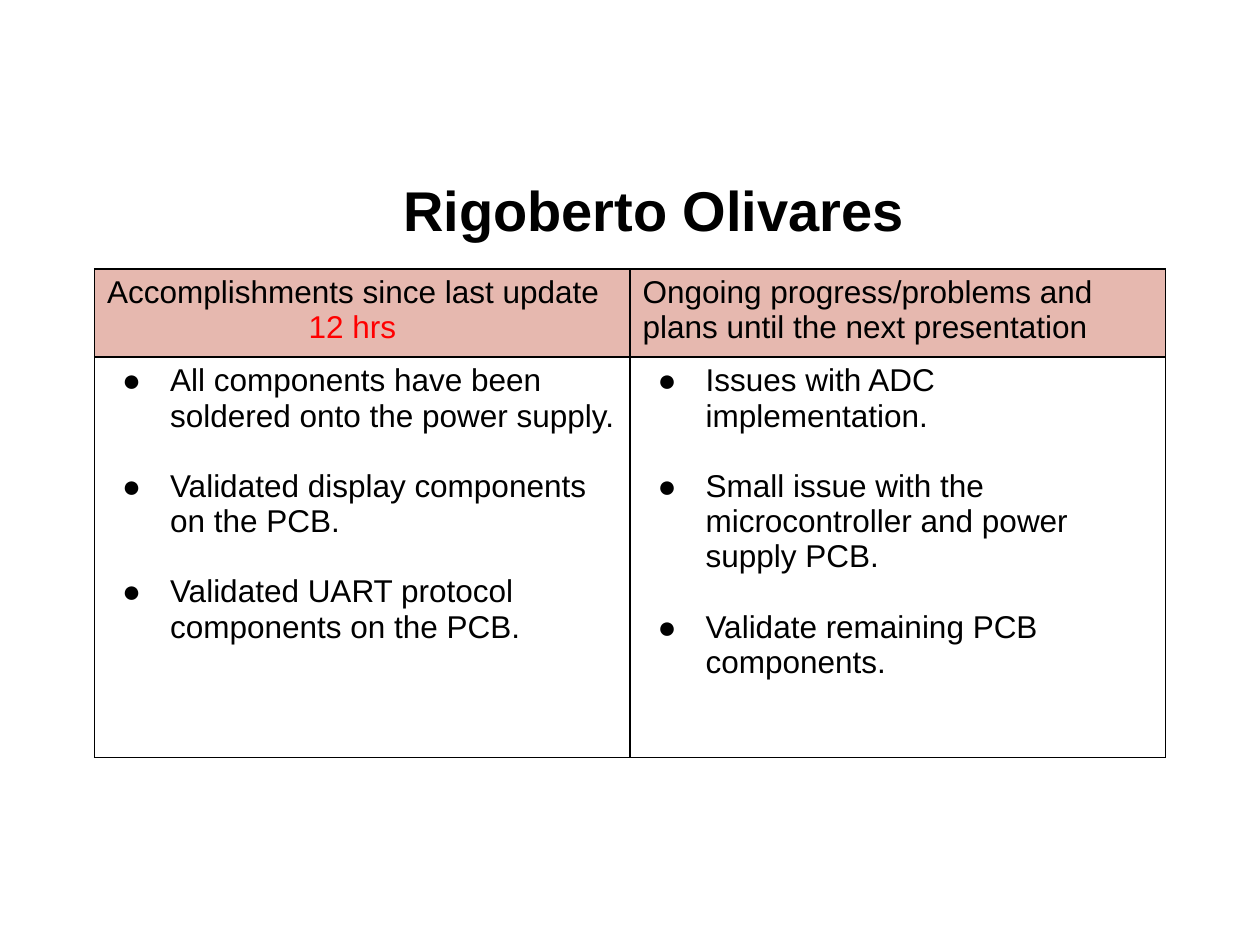
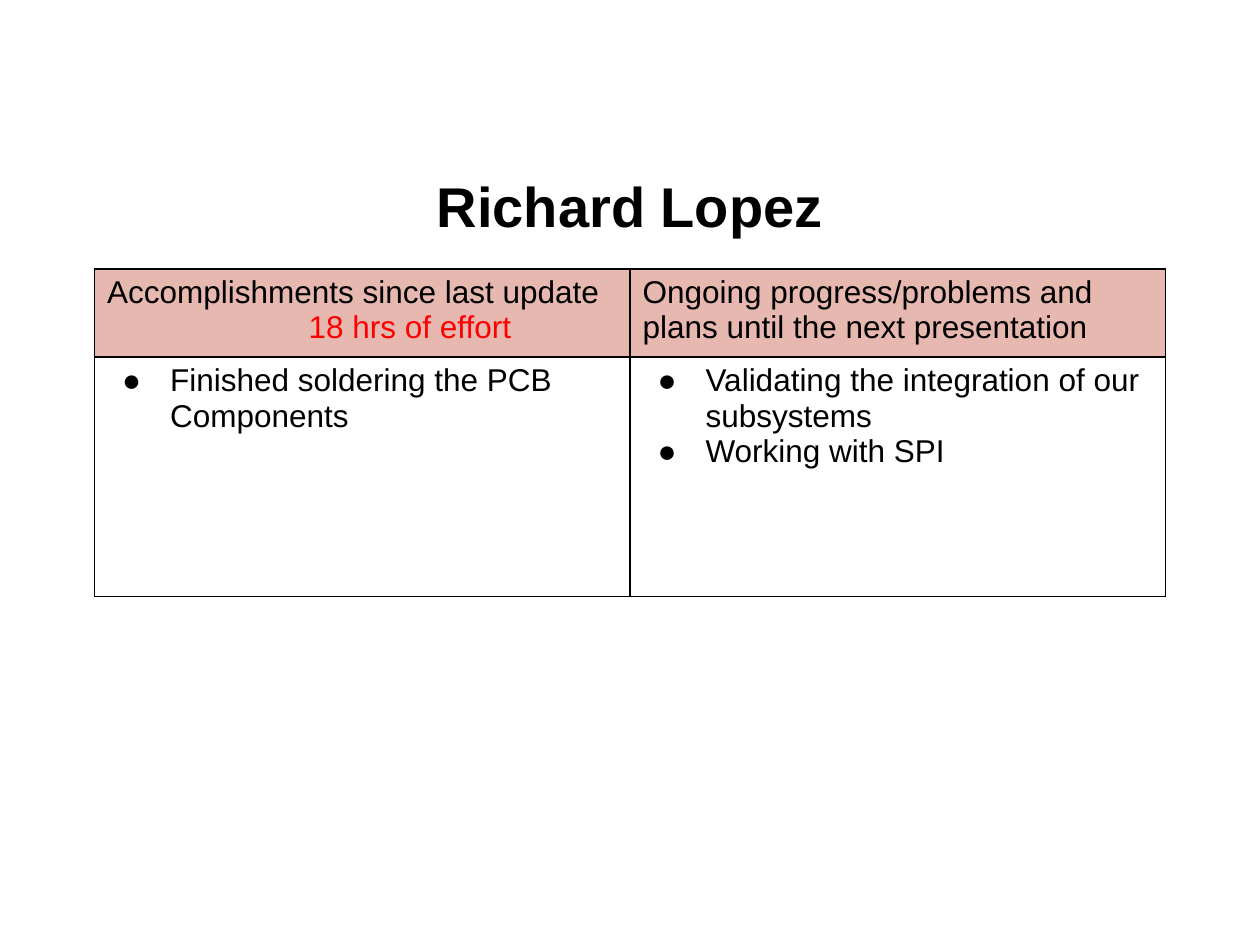
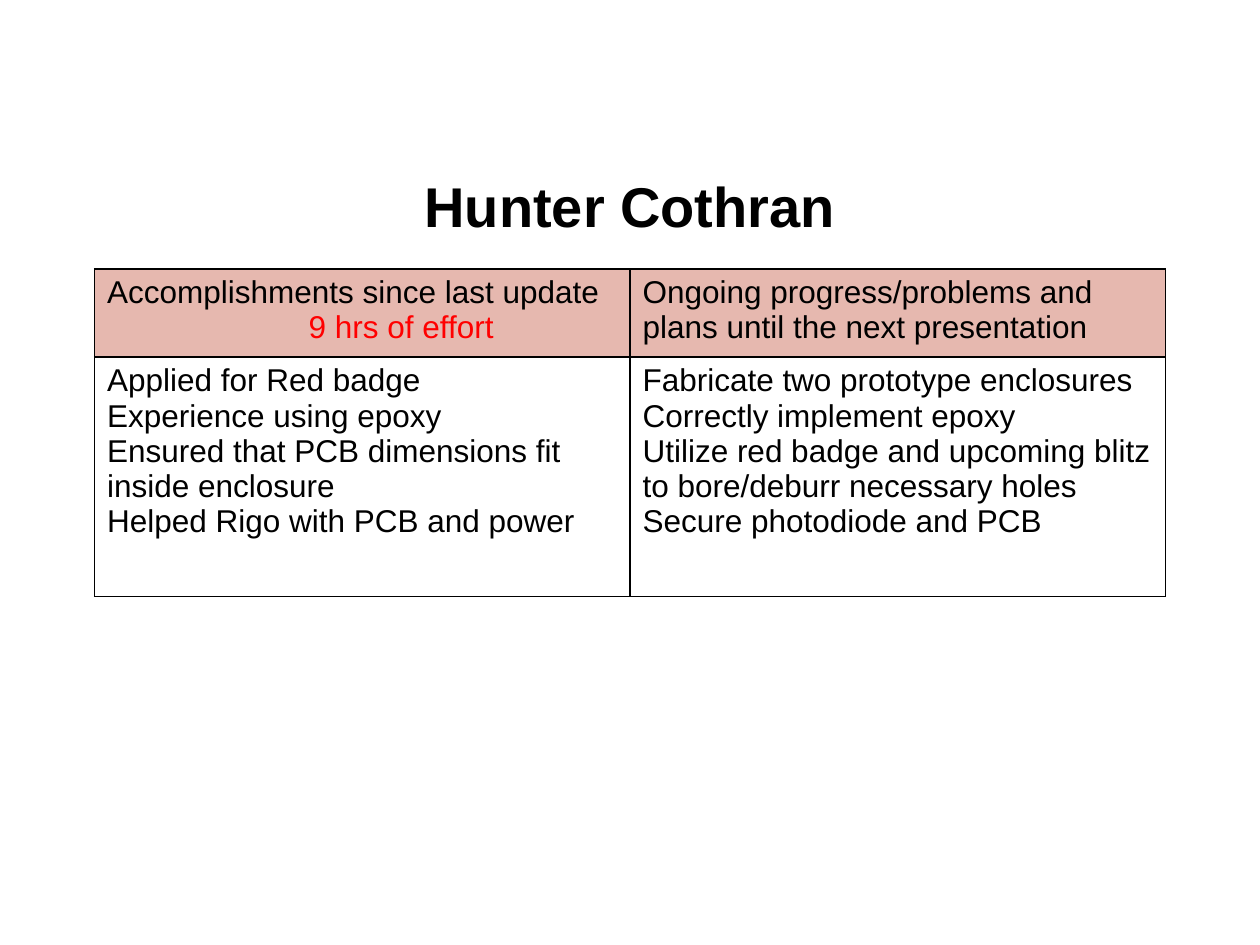
from dataclasses import dataclass

from lxml import etree
from pptx import Presentation, util as u
from pptx.dml.color import RGBColor
from pptx.enum import text
from pptx.oxml import ns

BLACK = RGBColor(0x00, 0x00, 0x00)
RED = RGBColor(0xFF, 0x00, 0x00)
ROSE = RGBColor(0xE6, 0xB8, 0xAF)
FONT = "Arial"
COLUMN, ROW = u.Inches(0.25), u.Inches(0.1)
HEADER_ROWS = 7
TABLE_BOX = (3, 21.33, 34)
TITLE_BOX = (2, 11.5, 36, 8.8)
DONE_HEADING = "Accomplishments since last update"
PLANS_HEADING = "Ongoing progress/problems and plans until the next presentation"


@dataclass
class Update:
    """One team member's progress report."""
    member: str
    effort: str
    done: list
    plans: list
    bulleted: bool = True
    gap: int = 0
    body_rows: float = 19
    title_box: tuple = TITLE_BOX


UPDATES = [
    Update("Rigoberto Olivares", "12 hrs",
           ["All components have been soldered onto the power supply.",
            "Validated display components on the PCB.",
            "Validated UART protocol components on the PCB."],
           ["Issues with ADC implementation.",
            "Small issue with the microcontroller and power supply PCB.",
            "Validate remaining PCB components."],
           gap=20, body_rows=31.8, title_box=(2.76, 11.8, 36, 8.8)),
    Update("Richard Lopez", "18 hrs of effort",
           ["Finished soldering the PCB Components"],
           ["Validating the integration of our subsystems", "Working with SPI"]),
    Update("Hunter Cothran", "9 hrs of effort",
           ["Applied for Red badge", "Experience using epoxy",
            "Ensured that PCB dimensions fit inside enclosure",
            "Helped Rigo with PCB and power"],
           ["Fabricate two prototype enclosures", "Correctly implement epoxy",
            "Utilize red badge and upcoming blitz to bore/deburr necessary holes",
            "Secure photodiode and PCB"],
           bulleted=False),
]


def columns(count):
    """Return the width of a number of grid columns."""
    return u.Emu(round(count * COLUMN))


def rows(count):
    """Return the height of a number of grid rows."""
    return u.Emu(round(count * ROW))


def add_run(paragraph, words, size=18, color=BLACK, bold=False):
    """Add one formatted run to a paragraph."""
    run = paragraph.add_run()
    run.text = words
    run.font.name, run.font.size, run.font.bold = FONT, u.Pt(size), bold
    run.font.color.rgb = color


def add_child(parent, tag, **attributes):
    """Append a DrawingML element and return it."""
    return etree.SubElement(parent, ns.qn(tag), attributes)


def add_fill(parent, tag, color):
    """Append an element that holds a colour."""
    add_child(add_child(parent, tag), "a:srgbClr", val=str(color))


def indent(paragraph, left, first=0):
    """Set the left and first-line indents in inches."""
    properties = paragraph._p.get_or_add_pPr()
    properties.set("marL", str(u.Inches(left)))
    properties.set("indent", str(u.Inches(first)))
    return properties


def add_bullet(paragraph):
    """Give a paragraph a hanging round bullet."""
    properties = indent(paragraph, 0.5, -0.38)
    add_fill(properties, "a:buClr", BLACK)
    add_child(properties, "a:buFont", typeface=FONT)
    add_child(properties, "a:buChar", char="●")


def format_cell(cell, color=None):
    """Draw a cell's borders and set its fill."""
    properties = cell._tc.get_or_add_tcPr()
    for side in "LRTB":
        border = add_child(properties, f"a:ln{side}", w=str(u.Pt(1)))
        add_fill(border, "a:solidFill", BLACK)
    if color is None:
        cell.fill.background()
    else:
        cell.fill.solid()
        cell.fill.fore_color.rgb = color


def write_items(cell, items, bulleted, gap):
    """Write one paragraph per item."""
    frame = cell.text_frame
    for index, item in enumerate(items):
        paragraph = frame.add_paragraph() if index else frame.paragraphs[0]
        if index and gap:
            paragraph.space_before = u.Pt(gap)
        if bulleted:
            add_bullet(paragraph)
        add_run(paragraph, item)


def add_title(slide, member, box):
    """Place the member's name in the title placeholder."""
    title = slide.shapes.title
    left, top, width, height = box
    title.left, title.top = columns(left), rows(top)
    title.width, title.height = columns(width), rows(height)
    frame = title.text_frame
    frame.auto_size = text.MSO_AUTO_SIZE.NONE
    frame.vertical_anchor = text.MSO_ANCHOR.MIDDLE
    paragraph = frame.paragraphs[0]
    paragraph.alignment = text.PP_ALIGN.CENTER
    paragraph.line_spacing = 1.15
    add_run(paragraph, member, size=32, bold=True)


def add_progress_table(slide, update, box):
    """Place the table of accomplishments and plans."""
    left, top, width = box
    table = slide.shapes.add_table(
        2, 2, columns(left), rows(top), columns(width),
        rows(HEADER_ROWS + update.body_rows)).table
    table.first_row = table.horz_banding = False
    for row, height in zip(table.rows, (HEADER_ROWS, update.body_rows)):
        row.height = rows(height)
    headings = (DONE_HEADING, PLANS_HEADING)
    for index, items in enumerate((update.done, update.plans)):
        heading, body = table.cell(0, index), table.cell(1, index)
        format_cell(heading, ROSE)
        format_cell(body)
        add_run(heading.text_frame.paragraphs[0], headings[index])
        write_items(body, items, update.bulleted, update.gap)
    effort = table.cell(0, 0).text_frame.add_paragraph()
    indent(effort, 1.6)
    add_run(effort, update.effort, color=RED)


def add_update_slide(deck, update):
    """Add the slide for one member's update."""
    slide = deck.slides.add_slide(deck.slide_layouts[5])
    add_title(slide, update.member, update.title_box)
    add_progress_table(slide, update, TABLE_BOX)


def main():
    """Build and save the deck."""
    deck = Presentation()
    deck.slide_width, deck.slide_height = columns(40), rows(75)
    for update in UPDATES:
        add_update_slide(deck, update)
    deck.save("out.pptx")


if __name__ == "__main__":
    main()
